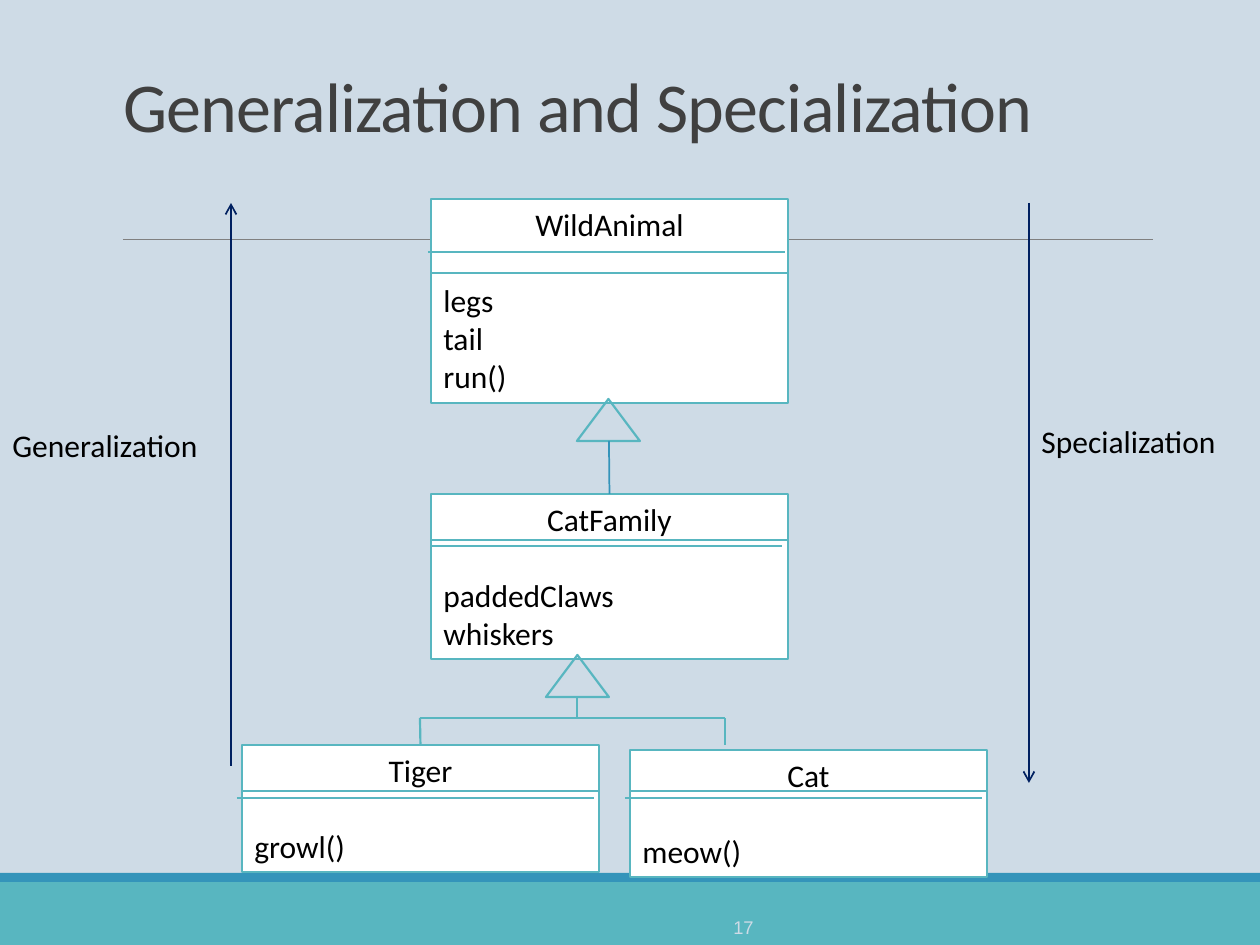
from lxml import etree
from pptx import Presentation, util as u
from pptx.dml.color import RGBColor
from pptx.enum import shapes, text
from pptx.oxml.ns import qn

PX = 914400 // 126
TEAL, BLUE, NAVY, PALE = "58B6C0", "3494BA", "002060", "CEDBE6"
BOX_W = 357

# name, left, top, height, members
CLASSES = [
    ("WildAnimal", 431, 199, 204, ["legs", "tail", "run()"]),
    ("Tiger", 242, 745, 127, ["growl()"]),
    ("CatFamily", 431, 494, 165, ["paddedClaws", "whiskers"]),
    ("Cat", 630, 750, 127, ["meow()"]),
]
# left, top of each full-width divider
RULES = [(242, 791), (431, 540), (630, 791), (428, 252),
         (237, 798), (625, 798), (431, 273)]
HEADS = [(577, 399), (546, 655)]
# x1, y1, x2, y2
TREE = [(577, 697, 577, 718), (420, 718, 725, 718), (725, 745, 725, 718)]
ARROWS = [(1029, 203, 1029, 783), (231, 766, 231, 203)]
LABELS = [("Specialization", 1029, 416, 221, 51),
          ("Generalization", 0, 420, 262, 50)]


def px(*nums):
    return [u.Emu(n * PX) for n in nums]


def hue(code):
    return RGBColor.from_string(code)


def write(shape, lines, size=18, font="Calibri", color="000000", align="l",
          anchor="t", head=False):
    """Fill a shape with lines; head centres the first and sets it apart."""
    frame = shape.text_frame
    frame.word_wrap = True
    frame.auto_size = text.MSO_AUTO_SIZE.NONE
    frame.vertical_anchor = {"t": text.MSO_ANCHOR.TOP,
                             "m": text.MSO_ANCHOR.MIDDLE,
                             "b": text.MSO_ANCHOR.BOTTOM}[anchor]
    for i, line in enumerate(lines):
        para = frame.paragraphs[0] if i == 0 else frame.add_paragraph()
        side = "c" if head and i == 0 else align
        para.alignment = {"l": text.PP_ALIGN.LEFT, "c": text.PP_ALIGN.CENTER,
                          "r": text.PP_ALIGN.RIGHT}[side]
        if head and i == 1:
            para.space_before = u.Pt(22)
        run = para.add_run()
        run.text = line
        run.font.size, run.font.name = u.Pt(size), font
        run.font.color.rgb = hue(color)
    return frame


def block(kind, x, y, w, h, fill=None, line=None):
    shape = slide.shapes.add_shape(kind, *px(x, y, w, h))
    shape.shadow.inherit = False
    if fill:
        shape.fill.solid()
        shape.fill.fore_color.rgb = hue(fill)
    else:
        shape.fill.background()
    if line:
        shape.line.color.rgb = hue(line)
        shape.line.width = u.Pt(1.25)
    else:
        shape.line.fill.background()
    return shape


def link(x1, y1, x2, y2, color=TEAL, width=1, arrow=False):
    line = slide.shapes.add_connector(shapes.MSO_CONNECTOR.STRAIGHT,
                                      *px(x1, y1, x2, y2))
    line.line.color.rgb = hue(color)
    line.line.width = u.Pt(width)
    props = line._element.spPr
    if arrow:
        etree.SubElement(props.find(qn("a:ln")), qn("a:tailEnd"), type="arrow")
    etree.SubElement(props, qn("a:effectLst"))
    return line


def label(words, x, y, w, h, **form):
    write(slide.shapes.add_textbox(*px(x, y, w, h)), [words], **form)


deck = Presentation()
deck.slide_width, deck.slide_height = px(1260, 945)
slide = deck.slides.add_slide(deck.slide_layouts[5])
slide.background.fill.solid()
slide.background.fill.fore_color.rgb = hue(PALE)

RECT = shapes.MSO_SHAPE.RECTANGLE
block(RECT, 0, 882, 1260, 63, fill=TEAL)
block(RECT, 0, 873, 1260, 9, fill=BLUE)
link(123, 239, 1153, 239, color="808080", width=0.5)

title = slide.shapes.title
title.left, title.top, title.width, title.height = px(111, 47, 1040, 106)
para = write(title, ["Generalization and Specialization"], size=40,
             color="404040", anchor="b").paragraphs[0]
para.line_spacing = 0.85
para.runs[0].font._element.set("spc", "-50")
label("17", 472, 911, 294, 33, size=10.5, font="Arial", color=PALE,
      align="r", anchor="m")

boxes = {}
for name, x, y, h, members in CLASSES:
    boxes[name] = block(RECT, x, y, BOX_W, h, fill="FFFFFF", line=TEAL)
    write(boxes[name], [name] + members, head=True)
for x, y in RULES:
    link(x, y, x + BOX_W, y)
link(431, 546, 782, 546)

for x, y in HEADS:
    block(shapes.MSO_SHAPE.ISOSCELES_TRIANGLE, x, y, 63, 42, line=TEAL)
for ends in TREE:
    link(*ends, width=1.25)
link(420, 718, 420, 745, width=1.25).end_connect(boxes["Tiger"], 0)
link(609, 441, 609, 494, color=BLUE).end_connect(boxes["CatFamily"], 0)

for ends in ARROWS:
    link(*ends, color=NAVY, arrow=True)
for item in LABELS:
    label(*item)

deck.save("out.pptx")
